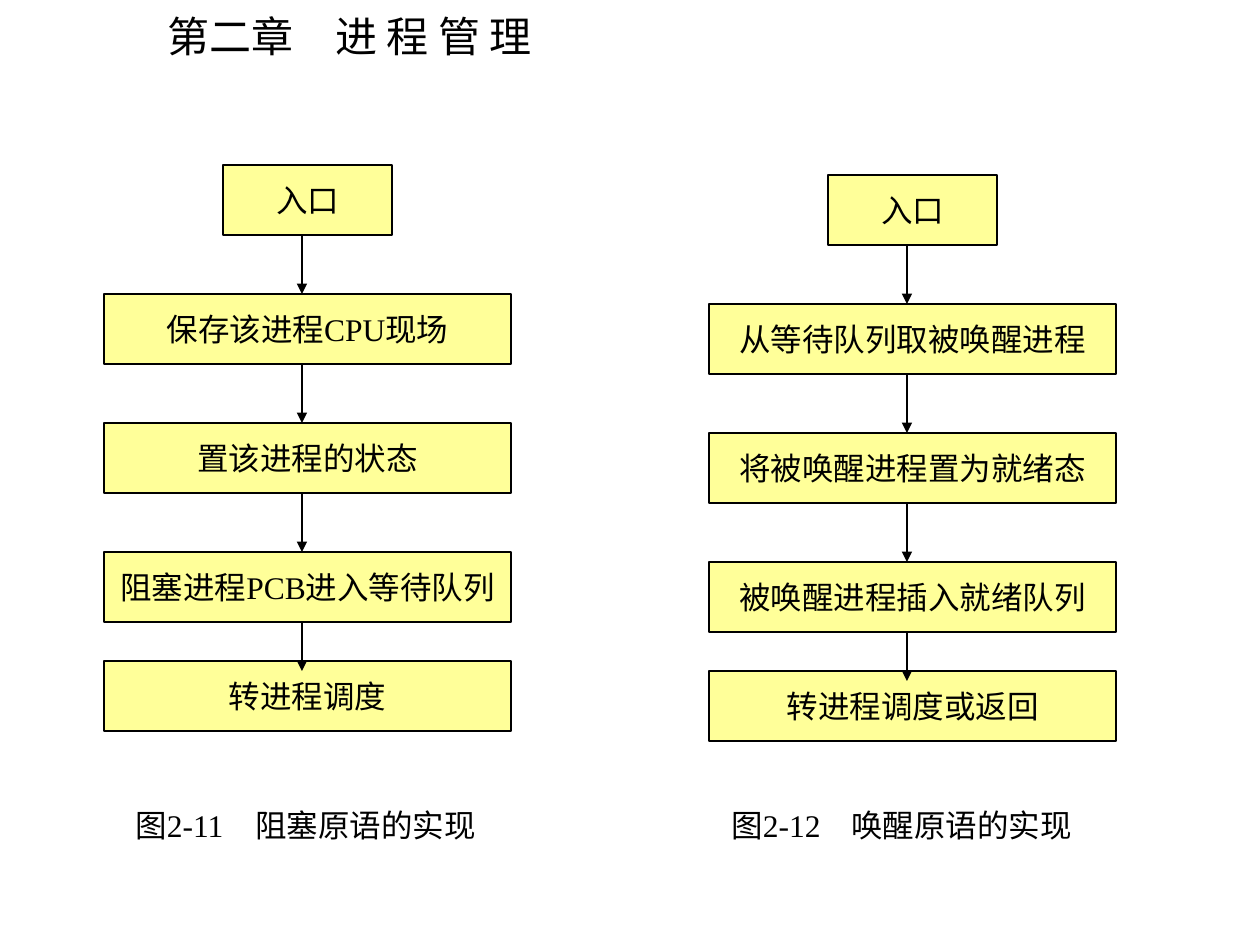
from lxml import etree
from pptx import Presentation
from pptx.dml.color import RGBColor
from pptx.enum.shapes import MSO_CONNECTOR, MSO_SHAPE
from pptx.enum.text import MSO_ANCHOR, MSO_AUTO_SIZE, PP_ALIGN
from pptx.oxml.ns import qn
from pptx.util import Emu, Pt

RECTANGLE = MSO_SHAPE.RECTANGLE
STRAIGHT = MSO_CONNECTOR.STRAIGHT
TOP, MIDDLE = MSO_ANCHOR.TOP, MSO_ANCHOR.MIDDLE
LEFT, CENTER = PP_ALIGN.LEFT, PP_ALIGN.CENTER
NO_AUTOFIT = MSO_AUTO_SIZE.NONE

PX_PER_INCH = 126
COLORS = {"ink": "000000", "step": "FFFF99"}
CJK_FONT = "Noto Sans CJK SC"
BODY_FONT = "Times New Roman"
TITLE_ONLY = 5

STEP_HEIGHT = 70
STEP_TOPS = [0, 129, 258, 387, 496]
ENTRY_INSET, ENTRY_WIDTH = 119, 169
ARROW_X = 198
LAST_ARROW_OVERLAP = 10
CAPTION_TAB = 120

CHARTS = [
    {
        "box": (104, 165, 407),
        "steps": ["入口", "保存该进程CPU现场", "置该进程的状态",
                  "阻塞进程PCB进入等待队列", "转进程调度"],
        "caption": "图2-11\t阻塞原语的实现",
        "caption_box": (123, 800, 377, 50),
    },
    {
        "box": (709, 175, 407),
        "steps": ["入口", "从等待队列取被唤醒进程", "将被唤醒进程置为就绪态",
                  "被唤醒进程插入就绪队列", "转进程调度或返回"],
        "caption": "图2-12\t唤醒原语的实现",
        "caption_box": (719, 800, 397, 50),
    },
]


def px(*lengths):
    return [Emu(round(length * 914400 / PX_PER_INCH)) for length in lengths]


def color(name):
    return RGBColor.from_string(COLORS[name])


def write(shape, text, size, font, align, anchor, wrap):
    frame = shape.text_frame
    settings = {"auto_size": NO_AUTOFIT, "word_wrap": wrap, "vertical_anchor": anchor}
    for name, value in settings.items():
        setattr(frame, name, value)
    para = frame.paragraphs[0]
    para.alignment = align
    span = para.add_run()
    span.text = text
    for name, value in {"size": Pt(size), "name": font}.items():
        setattr(span.font, name, value)
    span.font.color.rgb = color("ink")
    latin = span.font._element.find(qn("a:latin"))
    east_asian = etree.Element(qn("a:ea"), typeface=CJK_FONT)
    latin.addnext(east_asian)
    return para


def add_title(page, box):
    title = page.shapes.title
    for name, value in zip(("left", "top", "width", "height"), px(*box)):
        setattr(title, name, value)
    write(title, "第二章\u3000进 程 管 理".replace("\u3000", "　"), 24, CJK_FONT, LEFT, TOP, False)


def add_step(group, text, box):
    step = group.shapes.add_shape(RECTANGLE, *px(*box))
    step.shadow.inherit = False
    step.fill.solid()
    step.fill.fore_color.rgb = color("step")
    step.line.color.rgb = color("ink")
    step.line.width = Pt(0.75)
    write(step, text, 18, BODY_FONT, CENTER, MIDDLE, False)


def add_arrow(group, x, start, end):
    arrow = group.shapes.add_connector(STRAIGHT, *px(x, start, x, end))
    arrow.line.color.rgb = color("ink")
    arrow.line.width = Pt(0.75)
    properties = arrow._element.spPr
    etree.SubElement(properties.find(qn("a:ln")), qn("a:tailEnd"), type="triangle")
    etree.SubElement(properties, qn("a:effectLst"))


def add_flowchart(page, box, steps):
    left, top, width = box
    group = page.shapes.add_group_shape()
    for index, (text, offset) in enumerate(zip(steps, STEP_TOPS)):
        inset, step_width = (0, width) if index else (ENTRY_INSET, ENTRY_WIDTH)
        add_step(group, text, (left + inset, top + offset, step_width, STEP_HEIGHT))
    for upper, lower in zip(STEP_TOPS, STEP_TOPS[1:]):
        overlap = LAST_ARROW_OVERLAP if lower == STEP_TOPS[-1] else 0
        add_arrow(group, left + ARROW_X, top + upper + STEP_HEIGHT, top + lower + overlap)


def add_caption(page, box, text):
    caption = page.shapes.add_textbox(*px(*box))
    para = write(caption, text, 18, BODY_FONT, LEFT, TOP, True)
    tabs = etree.SubElement(para._p.get_or_add_pPr(), qn("a:tabLst"))
    etree.SubElement(tabs, qn("a:tab"), pos=str(px(CAPTION_TAB)[0]), algn="l")


def main():
    deck = Presentation()
    deck.slide_width, deck.slide_height = px(1260, 945)
    page = deck.slides.add_slide(deck.slide_layouts[TITLE_ONLY])
    add_title(page, (155, 4, 398, 63))
    for chart in CHARTS:
        add_caption(page, chart["caption_box"], chart["caption"])
        add_flowchart(page, chart["box"], chart["steps"])
    deck.save("out.pptx")


if __name__ == "__main__":
    main()
